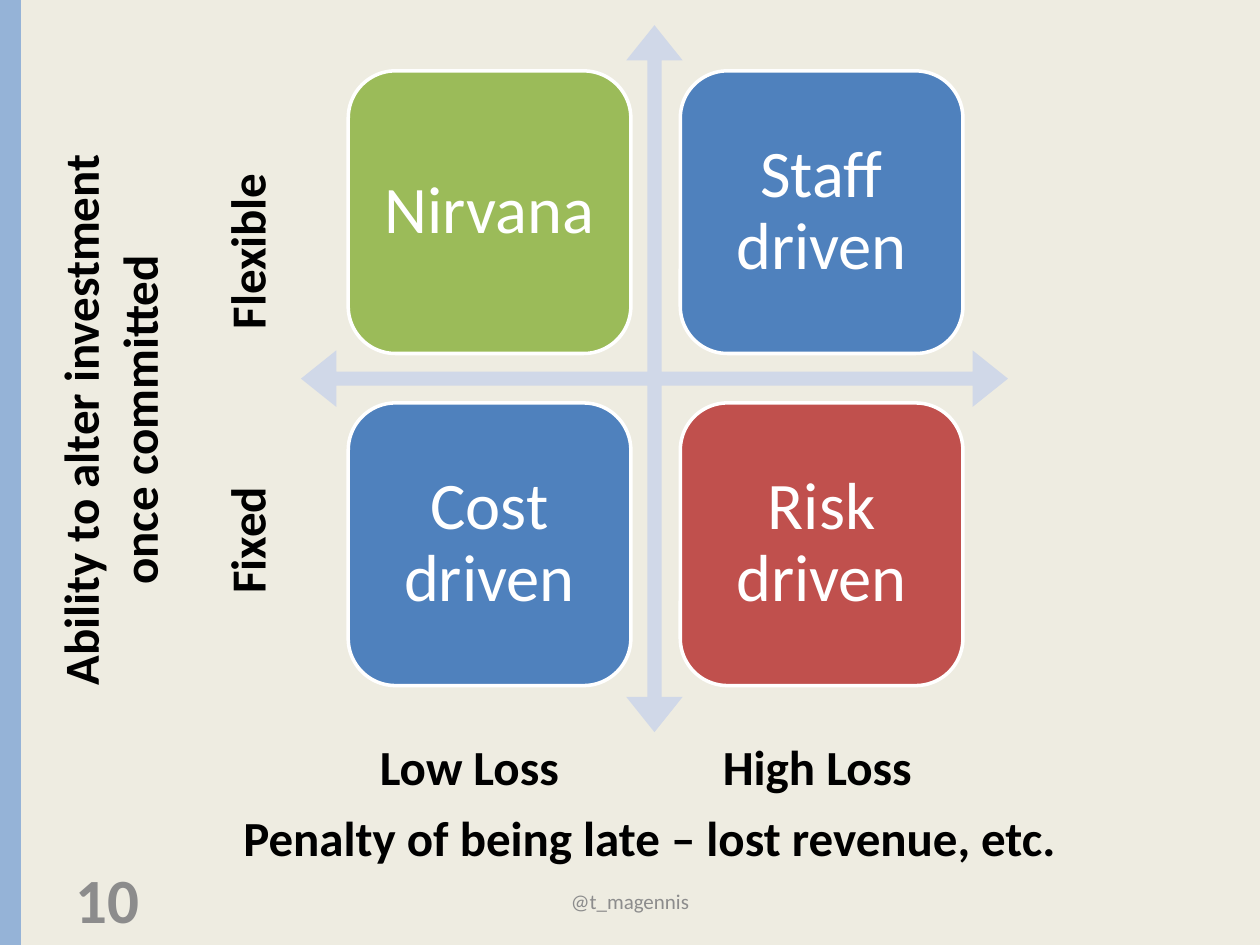
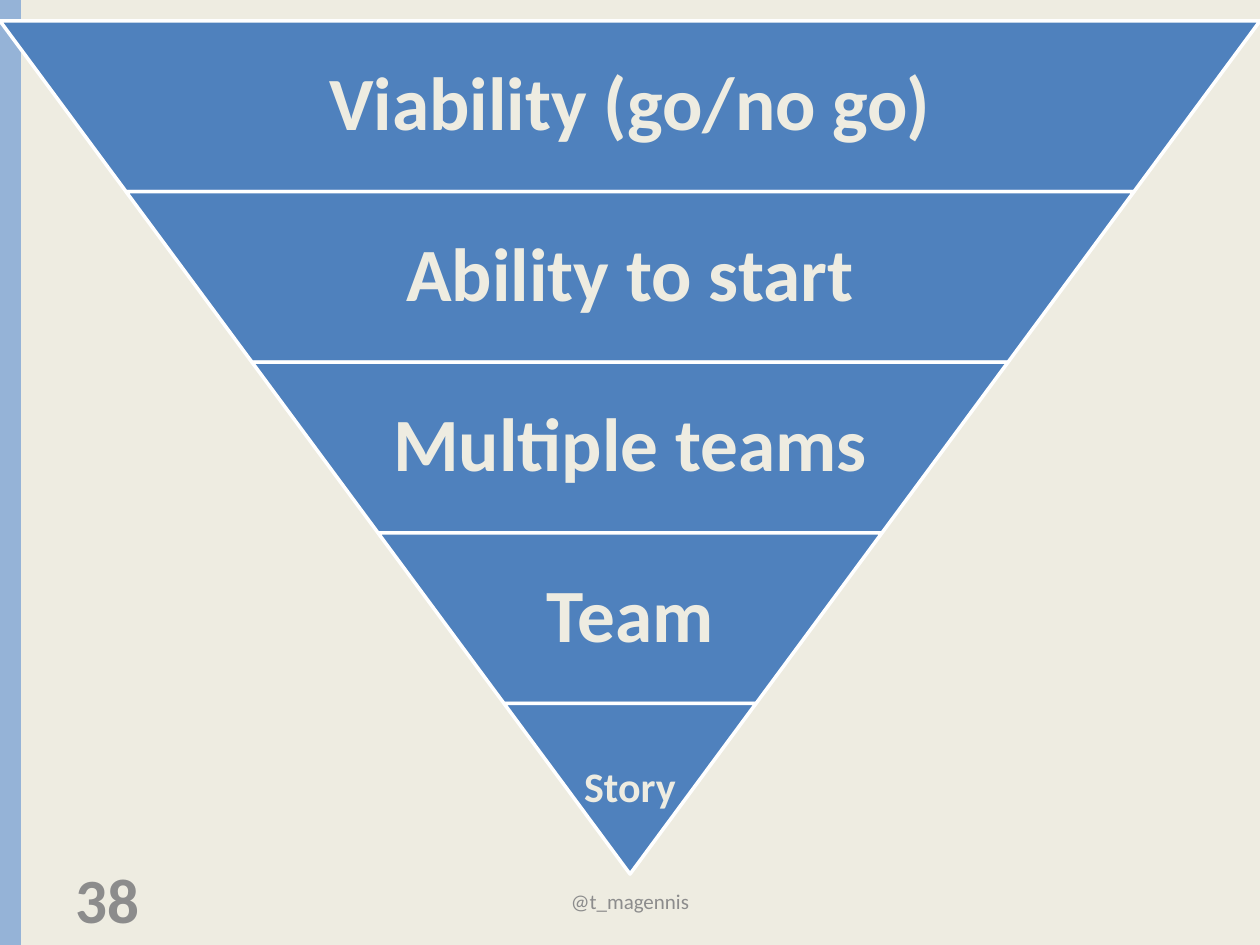
from pptx import Presentation
from pptx.dml.color import RGBColor
from pptx.enum import shapes, text
from pptx.util import Pt

CREAM = RGBColor(0xEE, 0xEC, 0xE1)
BAND = RGBColor(0x95, 0xB3, 0xD7)
PALE = RGBColor(0xD0, 0xD8, 0xE8)
BLUE = RGBColor(0x4F, 0x81, 0xBD)
GREEN = RGBColor(0x9B, 0xBB, 0x59)
RED = RGBColor(0xC0, 0x50, 0x4D)
GREY = RGBColor(0x8C, 0x8C, 0x8C)
WHITE = RGBColor(0xFF, 0xFF, 0xFF)
BLACK = RGBColor(0, 0, 0)

FONT = "Calibri"
WIDTH, HEIGHT = 720, 540
KIND = shapes.MSO_SHAPE
LEFT, CENTER = text.PP_ALIGN.LEFT, text.PP_ALIGN.CENTER


class Deck:
    """Holds the presentation, its style and the current slide; boxes are (x, y, w, h) in points."""

    def __init__(self):
        self.prs = Presentation()
        self.prs.slide_width, self.prs.slide_height = Pt(WIDTH), Pt(HEIGHT)
        fill = self.prs.slide_master.background.fill
        fill.solid()
        fill.fore_color.rgb = CREAM
        self.slide = None

    def new_slide(self, number):
        self.slide = self.prs.slides.add_slide(self.prs.slide_layouts[6])
        self.shape(KIND.RECTANGLE, (0, 0, 12, HEIGHT), BAND)
        self.text_box((246, 500.5, 228, 28.75), "@t_magennis", 12, GREY)
        self.text_box((36, 499, 168, 28.75), str(number), 36, GREY, bold=True, align=LEFT)

    def shape(self, kind, box, color, outlined=False, adjustments=()):
        sp = self.slide.shapes.add_shape(kind, *map(Pt, box))
        sp.shadow.inherit = False
        sp.fill.solid()
        sp.fill.fore_color.rgb = color
        if outlined:
            sp.line.color.rgb = WHITE
            sp.line.width = Pt(2)
        else:
            sp.line.fill.background()
        for i, value in enumerate(adjustments):
            sp.adjustments[i] = value
        return sp

    def set_text(self, sp, words, size, color, bold=False, align=CENTER, inset=None, spacing=None):
        """Put one formatted, vertically centred paragraph into a shape."""
        tf = sp.text_frame
        tf.word_wrap = True
        tf.vertical_anchor = text.MSO_ANCHOR.MIDDLE
        if inset is not None:
            tf.margin_left = tf.margin_top = tf.margin_right = tf.margin_bottom = Pt(inset)
        p = tf.paragraphs[0]
        p.text = words
        p.alignment = align
        if spacing:
            p.line_spacing = spacing
        p.font.name, p.font.size, p.font.bold = FONT, Pt(size), bold
        p.font.color.rgb = color

    def text_box(self, box, words, size, color, **style):
        sp = self.slide.shapes.add_textbox(*map(Pt, box))
        self.set_text(sp, words, size, color, **style)
        return sp

    def axis_label(self, box, words, vertical=False, wrap=False):
        sp = self.text_box(box, words, 28, BLACK, bold=True, align=CENTER if wrap else LEFT)
        sp.text_frame.vertical_anchor = text.MSO_ANCHOR.TOP
        sp.text_frame.word_wrap = wrap
        sp.text_frame.auto_size = text.MSO_AUTO_SIZE.SHAPE_TO_FIT_TEXT
        if vertical:
            sp.rotation = 270

    def quadrant(self, box, words, color):
        sp = self.shape(KIND.ROUNDED_RECTANGLE, box, color, outlined=True)
        self.set_text(sp, words, 38, WHITE, inset=11.5, spacing=0.9)

    def tier(self, box, slant, words, size, text_share, inset):
        """Add an upside-down trapezoid, with upright text over the middle share of its width."""
        x, y, w, h = box
        sp = self.shape(KIND.TRAPEZOID, box, BLUE, outlined=True, adjustments=[slant / h])
        sp.rotation = 180
        text_width = w * text_share
        self.text_box((x + (w - text_width) / 2, y, text_width, h), words, size, CREAM,
                      bold=True, inset=inset, spacing=0.9)


def investment_matrix(deck):
    deck.new_slide(10)
    deck.shape(KIND.QUAD_ARROW, (172, 14.4, 404, 404), PALE, adjustments=[0.02, 0.04, 0.05])
    rows = [[("Nirvana", GREEN), ("Staff driven", BLUE)],
            [("Cost driven", BLUE), ("Risk driven", RED)]]
    side, pitch = 161.5, 189.75
    for i, row in enumerate(rows):
        for j, (words, color) in enumerate(row):
            deck.quadrant((199 + j * pitch, 40.5 + i * pitch, side, side), words, color)

    deck.axis_label((132, 458, 484.5, 41), "Penalty of being late – lost revenue, etc.")
    deck.axis_label((-111.5, 202.5, 348, 75), "Ability to alter investment once committed",
                    vertical=True, wrap=True)
    deck.axis_label((88.5, 122.5, 104.5, 41), "Flexible", vertical=True)
    deck.axis_label((102.5, 287.5, 76.5, 41), "Fixed", vertical=True)
    deck.axis_label((210, 417.5, 119, 41), "Low Loss")
    deck.axis_label((406, 417.5, 124, 41), "High Loss")


def decision_funnel(deck):
    deck.new_slide(38)
    tiers = ["Viability (go/no go)", "Ability to start", "Multiple teams", "Team", "Story"]
    slant, height = WIDTH / (2 * len(tiers)), 97.5
    for i, words in enumerate(tiers):
        is_tip = i == len(tiers) - 1
        size, share, inset = (24, 1, 2.4) if is_tip else (43, 0.65, 4.3)
        box = (i * slant, 12 + i * height, WIDTH - 2 * i * slant, height)
        deck.tier(box, slant, words, size, share, inset)


def main():
    deck = Deck()
    investment_matrix(deck)
    decision_funnel(deck)
    deck.prs.save("out.pptx")


if __name__ == "__main__":
    main()
